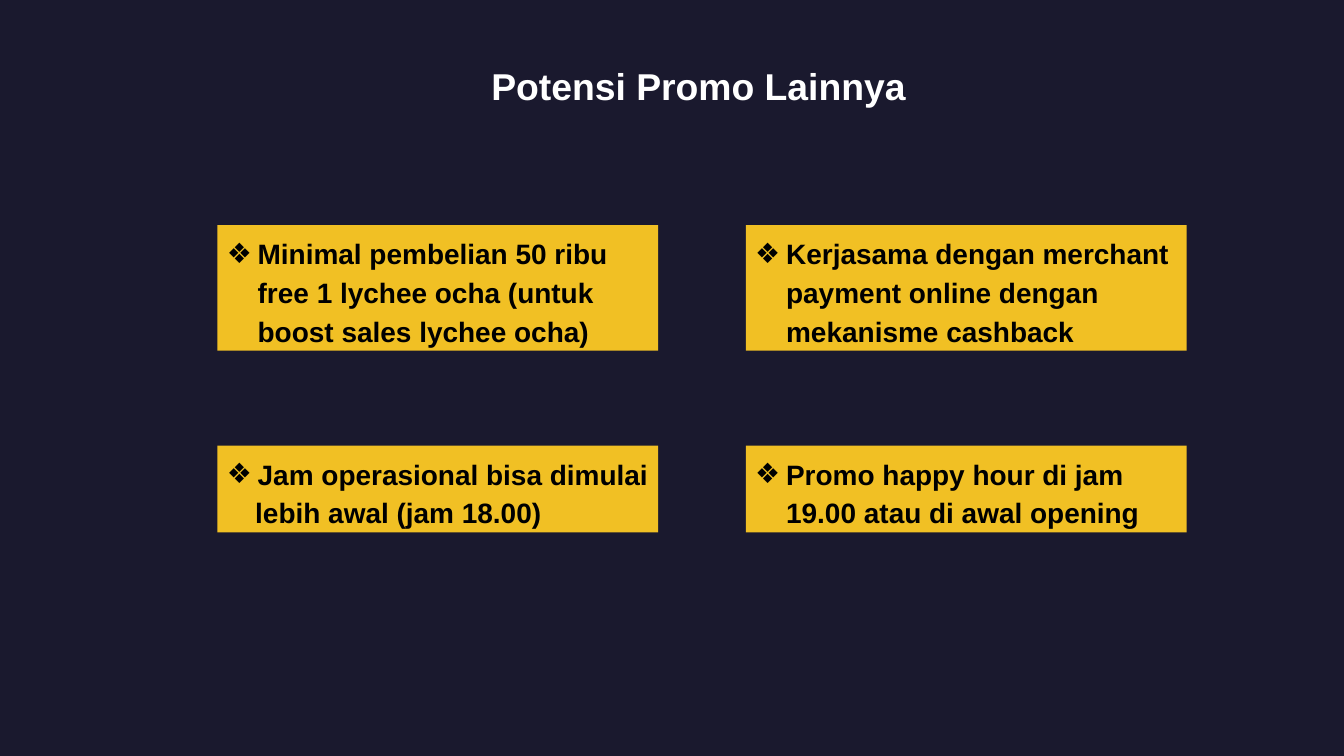
from lxml.etree import SubElement as Sub
from pptx import Presentation
from pptx.dml.color import RGBColor as RGB
from pptx.enum.shapes import MSO_SHAPE as Shape
from pptx.enum.text import MSO_ANCHOR as Anchor, MSO_AUTO_SIZE as Fit, PP_ALIGN as Align
from pptx.oxml.ns import qn
from pptx.util import Pt

HUES = {"back": "1A192E", "card": "F1C024", "ink": "000000", "head": "FFFFFF"}
TITLE = "Potensi Promo Lainnya"
CARDS = [
    [(["Minimal pembelian 50 ribu free 1 lychee ocha (untuk boost sales lychee ocha)"], 36),
     (["Kerjasama dengan merchant", "payment online dengan", "mekanisme cashback"], 36)],
    [(["Jam operasional bisa dimulai", "lebih awal (jam 18.00)"], 33.4),
     (["Promo happy hour di jam 19.00 atau di awal opening"], 36)],
]
LEFTS = [233, 799.2]
ROWS = [(241.2, 134.6), (477.4, 92.9)]
WIDE, PAD, HANG = 472.3, 7.2, 33.1


def fill(thing, hue):
    thing.fill.solid()
    thing.fill.fore_color.rgb = RGB.from_string(HUES[hue])


def frame(shape, anchor, fit):
    form = {"word_wrap": True, "auto_size": fit, "vertical_anchor": anchor}
    form.update({f"margin_{side}": Pt(PAD) for side in ("left", "right", "top", "bottom")})
    for name, value in form.items():
        setattr(shape.text_frame, name, value)
    return shape.text_frame


def write(para, text, size, hue, align):
    para.alignment = align
    run = para.add_run()
    run.text = text
    for name, value in {"name": "Arial", "size": Pt(size), "bold": True}.items():
        setattr(run.font, name, value)
    run.font.color.rgb = RGB.from_string(HUES[hue])


def indent(para, left, bullet):
    props = para._p.get_or_add_pPr()
    props.set("marL", str(Pt(left)))
    props.set("indent", str(-Pt(HANG) if bullet else 0))
    if bullet:
        Sub(Sub(props, qn("a:buClr")), qn("a:srgbClr"), val=HUES["ink"])
        Sub(props, qn("a:buFont"), typeface="Arial")
        Sub(props, qn("a:buChar"), char="❖")
    para.line_spacing = 1.15


def card(slide, lines, rest, left, top, high):
    box = slide.shapes.add_shape(Shape.RECTANGLE, Pt(left), Pt(top), Pt(WIDE), Pt(high))
    box.shadow.inherit = False
    box.line.fill.background()
    fill(box, "card")
    text = frame(box, Anchor.TOP, Fit.SHAPE_TO_FIT_TEXT)
    for num, line in enumerate(lines):
        para = text.add_paragraph() if num else text.paragraphs[0]
        indent(para, rest if num else 36, num == 0)
        write(para, line, 30, "ink", Align.LEFT)


def main():
    """Build the promo ideas slide."""
    deck = Presentation()
    deck.slide_width, deck.slide_height = Pt(1440), Pt(810)
    slide = deck.slides.add_slide(deck.slide_layouts[5])
    fill(slide.background, "back")
    title = slide.shapes.title
    place = {"left": 431.3, "top": 60.5, "width": 634.3, "height": 63.4}
    for name, value in place.items():
        setattr(title, name, Pt(value))
    head = frame(title, Anchor.MIDDLE, Fit.NONE)
    write(head.paragraphs[0], TITLE, 40, "head", Align.CENTER)
    for row, (top, high) in zip(CARDS, ROWS):
        for (lines, rest), left in zip(row, LEFTS):
            card(slide, lines, rest, left, top, high)
    deck.save("out.pptx")


if __name__ == "__main__":
    main()
